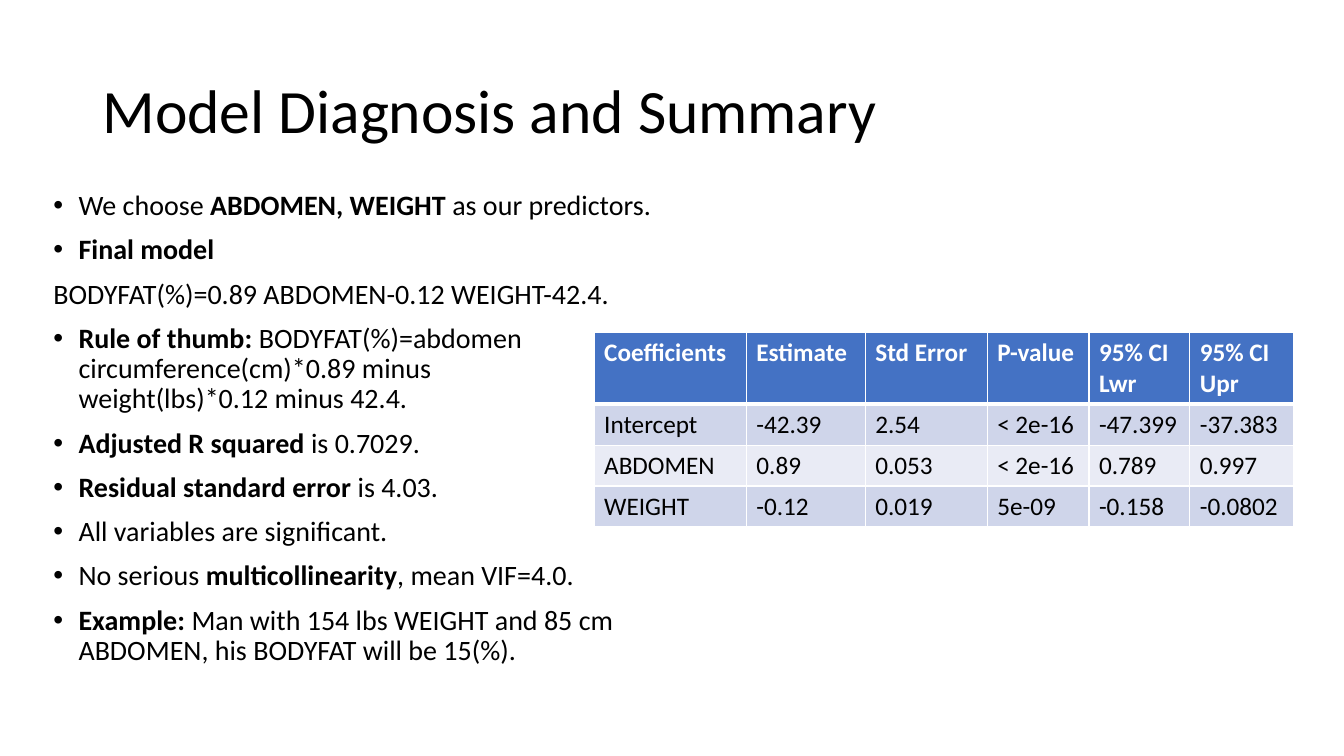
from dataclasses import dataclass

from lxml.etree import SubElement
from pptx import Presentation
from pptx.dml.color import RGBColor
from pptx.enum.text import MSO_ANCHOR, MSO_AUTO_SIZE, PP_ALIGN
from pptx.oxml.ns import qn
from pptx.util import Pt


@dataclass(frozen=True)
class Theme:
    font: str = "Calibri"
    text: str = "000000"
    header_text: str = "FFFFFF"
    header_fill: str = "4472C4"
    border: str = "FFFFFF"
    odd_row: str = "CFD5EA"
    even_row: str = "E9EBF5"
    title_size: int = 44
    body_size: int = 20
    table_size: int = 18


theme = Theme()
no_break_space = chr(160)


def add_text(paragraph, text, size=theme.body_size, color=theme.text, bold=False):
    run = paragraph.add_run()
    run.text = text
    run.font.name = theme.font
    run.font.size = Pt(size)
    run.font.bold = bold
    run.font.color.rgb = RGBColor.from_string(color)


def place(shape, left, top, width, height):
    shape.left, shape.top = Pt(left), Pt(top)
    shape.width, shape.height = Pt(width), Pt(height)


presentation = Presentation()
presentation.slide_width = Pt(960)
presentation.slide_height = Pt(540)
slide = presentation.slides.add_slide(presentation.slide_layouts[1])

title = slide.shapes.title
place(title, 66, 28.75, 828, 104.4)
title.text_frame.auto_size = MSO_AUTO_SIZE.NONE
title.text_frame.vertical_anchor = MSO_ANCHOR.MIDDLE
title_paragraph = title.text_frame.paragraphs[0]
title_paragraph.alignment = PP_ALIGN.LEFT
title_paragraph.line_spacing = 0.9
add_text(title_paragraph, "Model Diagnosis and Summary", size=theme.title_size)

findings = [
    (True, [("We choose ", False), ("ABDOMEN, WEIGHT ", True), ("as our predictors.", False)]),
    (True, [("Final model", True)]),
    (False, [("BODYFAT(%)=0.89 ABDOMEN-0.12 WEIGHT-42.4.", False)]),
    (True, [("Rule of thumb: ", True),
            ("BODYFAT(%)=abdomen circumference(cm)*0.89 minus "
             f"weight(lbs)*0.12{no_break_space}minus 42.4.", False)]),
    (True, [("Adjusted R squared ", True), ("is 0.7029.", False)]),
    (True, [("Residual standard error ", True), ("is 4.03.", False)]),
    (True, [("All variables are significant.", False)]),
    (True, [("No serious ", False), ("multicollinearity", True), (", mean VIF=4.0.", False)]),
    (True, [("Example: ", True),
            ("Man with 154 lbs WEIGHT and 85 cm ABDOMEN, his BODYFAT will be 15(%).", False)]),
]

body = slide.placeholders[1]
place(body, 30.9, 133.2, 913, 355)
body_frame = body.text_frame
body_frame.auto_size = MSO_AUTO_SIZE.NONE
body_frame.vertical_anchor = MSO_ANCHOR.TOP
body_frame._txBody.bodyPr.set("numCol", "2")

for index, (bulleted, segments) in enumerate(findings):
    paragraph = body_frame.add_paragraph() if index else body_frame.paragraphs[0]
    paragraph.line_spacing = 0.9
    paragraph.space_before = Pt(10 if index else 0)
    properties = paragraph._p.get_or_add_pPr()
    indent = Pt(18) if bulleted else 0
    properties.set("marL", str(indent))
    properties.set("indent", str(-indent))
    if bulleted:
        SubElement(properties, qn("a:buFont")).set("typeface", "Arial")
        SubElement(properties, qn("a:buChar")).set("char", "•")
    else:
        SubElement(properties, qn("a:buNone"))
    for text, bold in segments:
        add_text(paragraph, text, bold=bold)

coefficients = [
    ["Coefficients", "Estimate", "Std Error", "P-value", "95% CI Lwr", "95% CI Upr"],
    ["Intercept", "-42.39", "2.54", "< 2e-16", "-47.399", "-37.383"],
    ["ABDOMEN", "0.89", "0.053", "< 2e-16", "0.789", "0.997"],
    ["WEIGHT", "-0.12", "0.019", "5e-09", "-0.158", "-0.0802"],
]
column_widths = [108.7, 85, 87.1, 72.7, 72, 74.2]
row_heights = [50.4, 29.2, 29.2, 29.2]

table = slide.shapes.add_table(
    len(row_heights), len(column_widths),
    Pt(424.4), Pt(237.6), Pt(sum(column_widths)), Pt(sum(row_heights)),
).table
for column, width in zip(table.columns, column_widths):
    column.width = Pt(width)

for row_index, values in enumerate(coefficients):
    table.rows[row_index].height = Pt(row_heights[row_index])
    is_header = row_index == 0
    row_fill = theme.odd_row if row_index % 2 else theme.even_row
    border_widths = {
        "a:lnL": 1,
        "a:lnR": 1,
        "a:lnT": 3 if row_index == 1 else 1,
        "a:lnB": 3 if is_header else 1,
    }
    for column_index, value in enumerate(values):
        cell = table.cell(row_index, column_index)
        cell_properties = cell._tc.get_or_add_tcPr()
        for side, width in border_widths.items():
            line = SubElement(cell_properties, qn(side), w=str(Pt(width)))
            line_fill = SubElement(line, qn("a:solidFill"))
            SubElement(line_fill, qn("a:srgbClr"), val=theme.border)
        cell.fill.solid()
        cell.fill.fore_color.rgb = RGBColor.from_string(theme.header_fill if is_header else row_fill)
        add_text(cell.text_frame.paragraphs[0], value, size=theme.table_size,
                 color=theme.header_text if is_header else theme.text, bold=is_header)

presentation.save("out.pptx")
